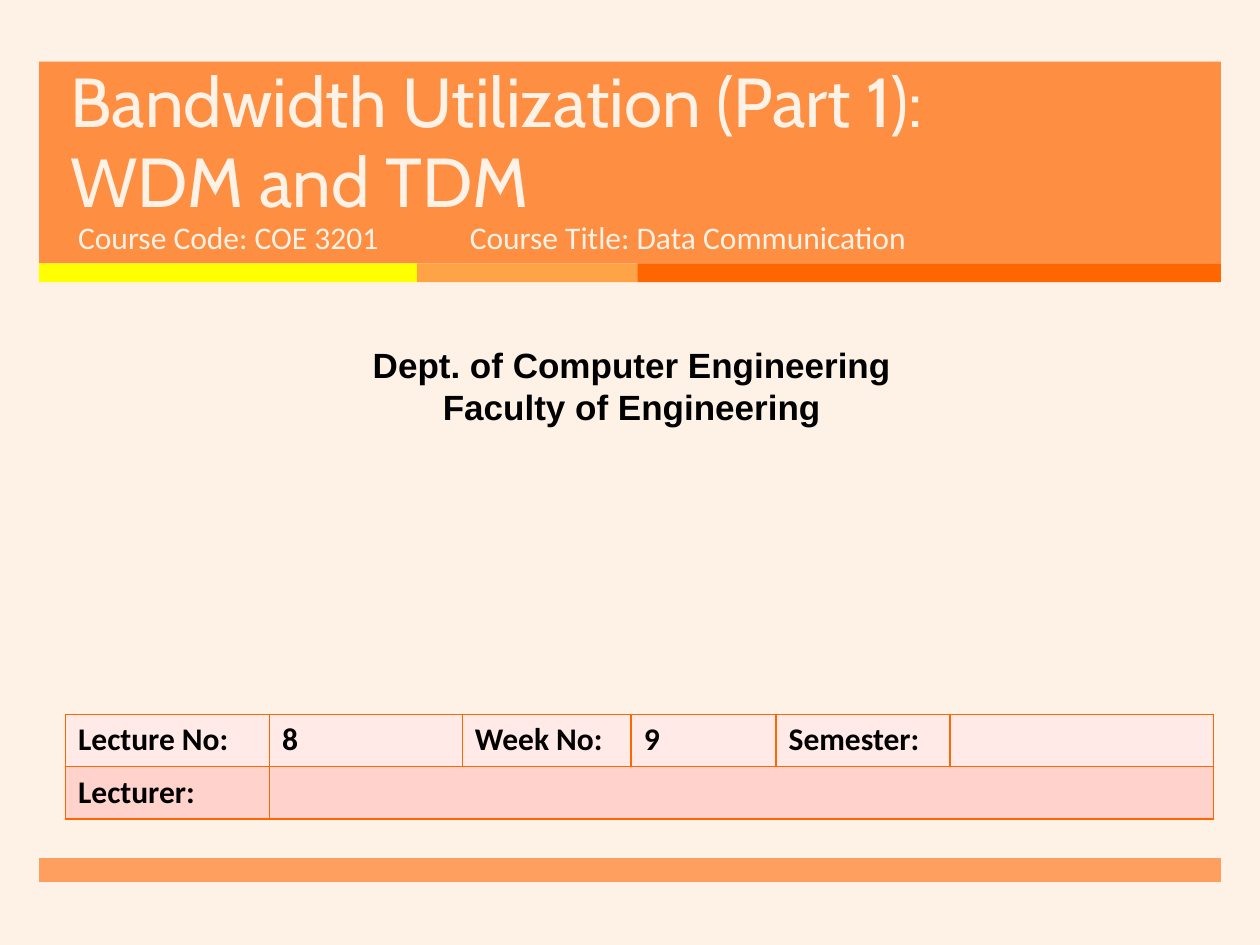
from itertools import accumulate

from lxml.etree import SubElement
from pptx import Presentation
from pptx.dml.color import RGBColor
from pptx.enum.shapes import MSO_SHAPE
from pptx.enum.text import MSO_ANCHOR, MSO_AUTO_SIZE, PP_ALIGN
from pptx.oxml.ns import qn
from pptx.util import Inches, Pt

CREAM = RGBColor(0xFE, 0xF2, 0xE6)
BAND_ORANGE = RGBColor(0xFF, 0x7D, 0x26)
YELLOW = RGBColor(0xFF, 0xFF, 0x00)
LIGHT_ORANGE = RGBColor(0xFF, 0xA3, 0x47)
ORANGE = RGBColor(0xFF, 0x66, 0x00)
ROW_LIGHT = RGBColor(0xFF, 0xEA, 0xE7)
ROW_DARK = RGBColor(0xFF, 0xD3, 0xCC)
BLACK = RGBColor(0x00, 0x00, 0x00)

SLIDE_W, SLIDE_H = 10, 7.5
MARGIN = 0.31
BAND_W = SLIDE_W - 2 * MARGIN


def place(shape, left, top, width, height):
    shape.left, shape.top = Inches(left), Inches(top)
    shape.width, shape.height = Inches(width), Inches(height)


def add_bar(shapes, box, color, opacity=100):
    bar = shapes.add_shape(MSO_SHAPE.RECTANGLE, *map(Inches, box))
    bar.shadow.inherit = False
    bar.line.fill.background()
    bar.fill.solid()
    bar.fill.fore_color.rgb = color
    if opacity < 100:
        srgb = bar.fill._xPr.find(qn("a:solidFill"))[0]
        SubElement(srgb, qn("a:alpha"), val=str(opacity * 1000))


def write(frame, lines, font_name, size, color, bold=False,
          align=PP_ALIGN.LEFT, anchor=MSO_ANCHOR.TOP):
    frame.word_wrap = True
    frame.auto_size = MSO_AUTO_SIZE.NONE
    frame.vertical_anchor = anchor
    frame.text = "\n".join(lines)
    for paragraph in frame.paragraphs:
        paragraph.alignment = align
        paragraph.space_before = Pt(0)
        font = paragraph.font
        font.name, font.size, font.bold = font_name, Pt(size), bold
        font.color.rgb = color


def header(slide, left, top, width, height):
    """Orange band with the title, the course line and a three-part stripe."""
    add_bar(slide.shapes, (left, top, width, height), BAND_ORANGE, 85)
    stripe = slide.shapes.add_group_shape()
    part_widths = (3, 1.75, width - 4.75)
    part_starts = accumulate(part_widths, initial=left)
    for start, part, color in zip(part_starts, part_widths,
                                  (YELLOW, LIGHT_ORANGE, ORANGE)):
        add_bar(stripe.shapes, (start, top + height, part, 0.15), color)

    title, course_code = slide.shapes.title, slide.placeholders[1]
    for text_holder in (title, course_code):  # bring in front of the band
        text_holder.element.getparent().append(text_holder.element)
    place(title, left + 0.15, top + 0.13, 7.72, 1.19)
    write(title.text_frame, ["Bandwidth Utilization (Part 1): WDM and TDM"],
          "Cabin", 39.6, CREAM, anchor=MSO_ANCHOR.BOTTOM)
    title.text_frame.paragraphs[0].line_spacing = Pt(46)

    course_top = top + 1.19
    place(course_code, left + 0.21, course_top, 3.05, 0.53)
    write(course_code.text_frame, ["Course Code: COE 3201"],
          "Calibri", 18, CREAM)
    course_title = slide.shapes.add_textbox(
        *map(Inches, (left + 3.32, course_top, 4.55, 0.53)))
    write(course_title.text_frame, ["Course Title: Data Communication"],
          "Calibri", 18, CREAM)


def department(slide, *box):
    lines = slide.shapes.add_textbox(*map(Inches, box))
    write(lines.text_frame,
          ["Dept. of Computer Engineering", "Faculty of Engineering"],
          "Arial", 20, BLACK, bold=True, align=PP_ALIGN.CENTER)


def outline(cell, color, width):
    properties = cell._tc.get_or_add_tcPr()
    for index, side in enumerate(("lnL", "lnR", "lnT", "lnB")):
        edge = SubElement(properties, qn(f"a:{side}"), w=str(Pt(width)))
        fill = SubElement(edge, qn("a:solidFill"))
        SubElement(fill, qn("a:srgbClr"), val=str(color))
        properties.insert(index, edge)  # borders precede the fill


def lecture_table(slide, left, top, width, height):
    rows = (("Lecture No:", "8", "Week No:", "9", "Semester:", ""),
            ("Lecturer:", "", "", "", "", ""))
    column_widths = (1.62, 1.53, 1.34, 1.15, 1.38, 2.09)
    table = slide.shapes.add_table(
        len(rows), len(column_widths),
        *map(Inches, (left, top, width, height))).table
    for column, column_width in zip(table.columns, column_widths):
        column.width = Inches(column_width)
    for r, (texts, fill) in enumerate(zip(rows, (ROW_LIGHT, ROW_DARK))):
        for c, text in enumerate(texts):
            cell = table.cell(r, c)
            cell.text = text
            font = cell.text_frame.paragraphs[0].font
            font.name, font.size, font.bold = "Calibri", Pt(18), True
            font.color.rgb = BLACK
            cell.fill.solid()
            cell.fill.fore_color.rgb = fill
            outline(cell, ORANGE, 1)
    table.cell(1, 1).merge(table.cell(1, 5))


def main():
    deck = Presentation()
    deck.slide_width, deck.slide_height = Inches(SLIDE_W), Inches(SLIDE_H)
    slide = deck.slides.add_slide(deck.slide_layouts[0])
    slide.background.fill.solid()
    slide.background.fill.fore_color.rgb = CREAM

    header(slide, MARGIN, 0.49, BAND_W, 1.6)
    # Footer band
    add_bar(slide.shapes, (MARGIN, 6.81, BAND_W, 0.19), BAND_ORANGE, 70)
    department(slide, 0.08, 2.68, 9.87, 0.77)
    lecture_table(slide, 0.52, 5.67, 9.12, 0.83)
    deck.save("out.pptx")


if __name__ == "__main__":
    main()
